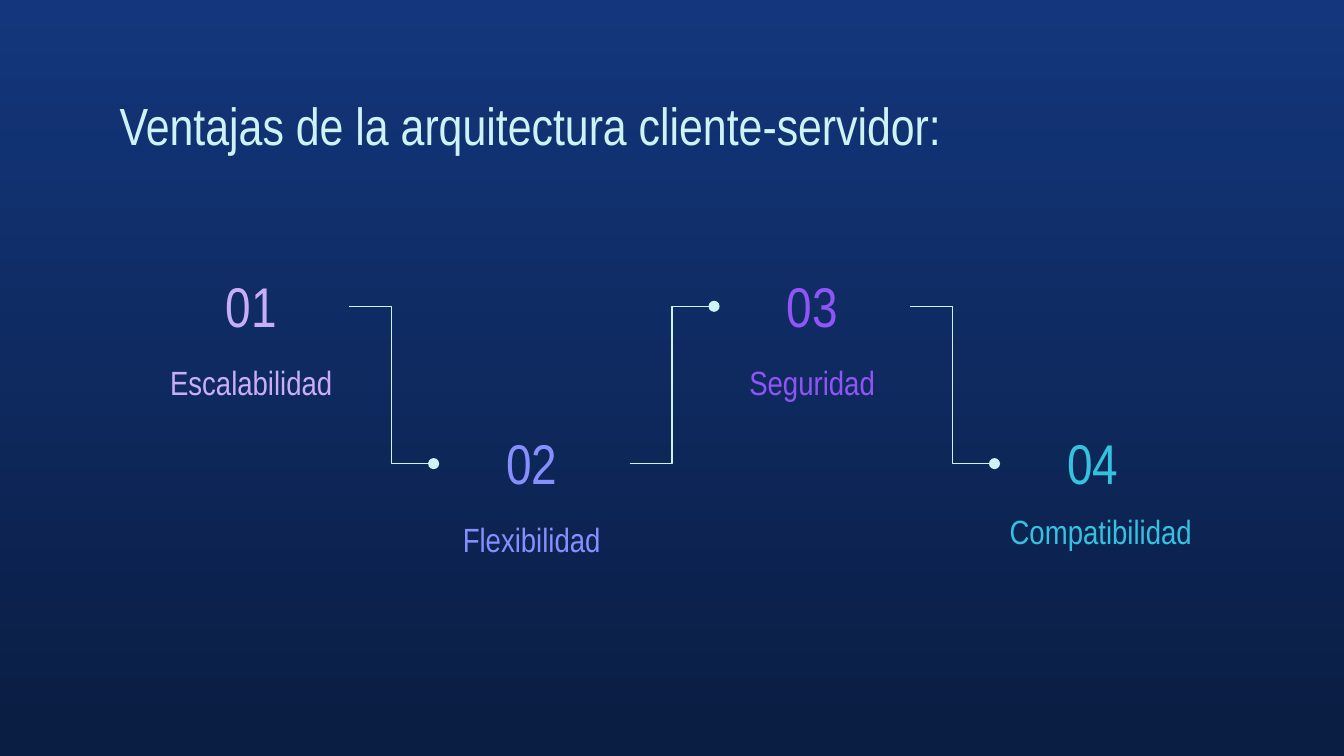
import pptx
import pptx.dml.color
import pptx.enum.shapes
import pptx.enum.text
import pptx.oxml.ns
import pptx.util
from lxml import etree

Inches = pptx.util.Inches
Anchor = pptx.enum.text.MSO_ANCHOR
Align = pptx.enum.text.PP_ALIGN

FONT = "Arial Narrow"
PALE = "CEF3F5"
SLIDE_WIDTH = Inches(10)
STEP_WIDTH = 1.46
FIRST_LEFT, LAST_LEFT = 1.14, 7.4
UPPER_TOP, LOWER_TOP = 1.93, 3.1
LINK_DROP = 0.35  # from the top of a step to its connector

# number, name, colour, top, offset of the name, width of the name
ADVANTAGES = [
    ("01", "Escalabilidad", "C8AEF8", UPPER_TOP, 0.64, STEP_WIDTH),
    ("02", "Flexibilidad", "878FFF", LOWER_TOP, 0.64, STEP_WIDTH),
    ("03", "Seguridad", "9154F8", UPPER_TOP, 0.64, STEP_WIDTH),
    ("04", "Compatibilidad", "35C2DF", LOWER_TOP, 0.58, 1.58),
]


def rgb(value):
    return pptx.dml.color.RGBColor.from_string(value)


def write(holder, text, size, color, align, anchor):
    frame = holder.text_frame
    frame.text = text
    frame.word_wrap = True
    frame.auto_size = pptx.enum.text.MSO_AUTO_SIZE.NONE
    frame.vertical_anchor = anchor
    frame.margin_left = frame.margin_right = Inches(0.1)
    frame.margin_top = frame.margin_bottom = Inches(0.1)
    paragraph = frame.paragraphs[0]
    paragraph.alignment = align
    paragraph.font.name = FONT
    paragraph.font.size = pptx.util.Pt(size)
    paragraph.font.color.rgb = rgb(color)


def paint_background(slide):
    fill = slide.background.fill
    fill.gradient()
    fill.gradient_angle = 270
    for stop, color in zip(fill.gradient_stops, ("13367C", "0A1D42")):
        stop.color.rgb = rgb(color)


def place_title(slide, left, top, width, height):
    title = slide.shapes.title
    title.left, title.top = Inches(left), Inches(top)
    title.width, title.height = Inches(width), Inches(height)
    write(title, "Ventajas de la arquitectura cliente-servidor:", 28, PALE,
          Align.LEFT, Anchor.TOP)


def add_step(slide, left, top, number, name, color, name_offset, name_width):
    rows = [
        (name, 18, name_offset, name_width, 0.52),
        (number, 30, 0, STEP_WIDTH, 0.69),
    ]
    for text, size, offset, width, height in rows:
        box = slide.shapes.add_textbox(
            Inches(left), Inches(top + offset), Inches(width), Inches(height))
        write(box, text, size, color, Align.CENTER, Anchor.BOTTOM)


def add_link(slide, x1, y1, x2, y2):
    link = slide.shapes.add_connector(
        pptx.enum.shapes.MSO_CONNECTOR.ELBOW,
        Inches(x1), Inches(y1), Inches(x2), Inches(y2))
    link.line.color.rgb = rgb(PALE)
    link.line.width = pptx.util.Pt(0.75)
    # Round end, no shadow
    qn = pptx.oxml.ns.qn
    properties = link._element.spPr
    etree.SubElement(properties.find(qn("a:ln")), qn("a:tailEnd"), type="oval")
    etree.SubElement(properties, qn("a:effectLst"))


def build_advantages(slide, left, last_left):
    pitch = (last_left - left) / (len(ADVANTAGES) - 1)
    lefts = [left + i * pitch for i in range(len(ADVANTAGES))]
    tops = [step[3] for step in ADVANTAGES]

    # Numbered steps
    for x, (number, name, color, top, offset, width) in zip(lefts, ADVANTAGES):
        add_step(slide, x, top, number, name, color, offset, width)

    # Links from each step to the next
    for i in range(len(ADVANTAGES) - 1):
        add_link(slide, lefts[i] + STEP_WIDTH, tops[i] + LINK_DROP,
                 lefts[i + 1], tops[i + 1] + LINK_DROP)


def main():
    deck = pptx.Presentation()
    # Widescreen, 16:9
    deck.slide_width = SLIDE_WIDTH
    deck.slide_height = SLIDE_WIDTH * 9 // 16
    slide = deck.slides.add_slide(deck.slide_layouts[5])
    paint_background(slide)
    place_title(slide, 0.79, 0.59, 8.43, 0.63)
    build_advantages(slide, FIRST_LEFT, LAST_LEFT)
    deck.save("out.pptx")


if __name__ == "__main__":
    main()
